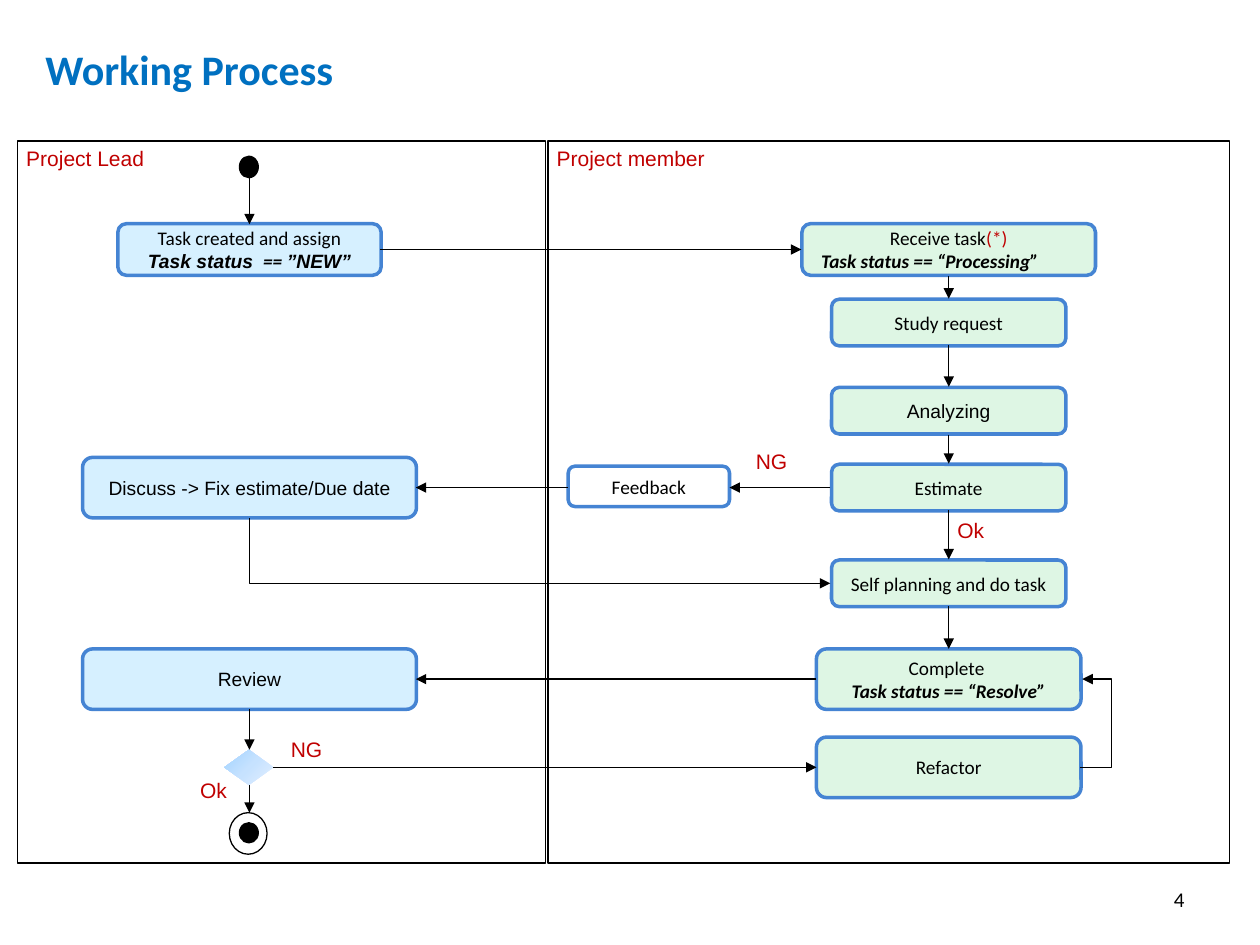
from lxml.etree import SubElement
from pptx import Presentation
from pptx.dml.color import RGBColor
from pptx.enum.shapes import MSO_CONNECTOR, MSO_SHAPE
from pptx.enum.text import MSO_ANCHOR, PP_ALIGN
from pptx.oxml import parse_xml
from pptx.oxml.ns import nsdecls, qn
from pptx.util import Inches, Pt

BLACK = RGBColor(0x00, 0x00, 0x00)
WHITE = RGBColor(0xFF, 0xFF, 0xFF)
TITLE_BLUE = RGBColor(0x00, 0x70, 0xC0)
BORDER = RGBColor(0x45, 0x84, 0xD3)
LEAD_FILL = RGBColor(0xD6, 0xF0, 0xFF)
MEMBER_FILL = RGBColor(0xDE, 0xF6, 0xE4)
RED = RGBColor(0xC0, 0x00, 0x00)

# Centre lines of the two lanes
LEAD_X, MEMBER_X = 1.98, 7.53


def add_run(p, text, size=11, font="Calibri", color=BLACK, bold=False, italic=False):
    r = p.add_run()
    r.text = text
    f = r.font
    f.size, f.name, f.bold, f.italic = Pt(size), font, bold, italic
    f.color.rgb = color


def add_label(s, text, x, y, w, h=0.3, align=PP_ALIGN.LEFT, wrap=False, **fmt):
    tf = s.shapes.add_textbox(Inches(x), Inches(y), Inches(w), Inches(h)).text_frame
    tf.word_wrap = wrap
    p = tf.paragraphs[0]
    p.alignment = align
    add_run(p, text, **fmt)


def add_figure(shapes, kind, x, y, w, h, fill=None, line=None, weight=0.75):
    sp = shapes.add_shape(kind, Inches(x), Inches(y), Inches(w), Inches(h))
    sp.shadow.inherit = False
    if fill is None:
        sp.fill.background()
    else:
        sp.fill.solid()
        sp.fill.fore_color.rgb = fill
    if line is None:
        sp.line.fill.background()
    else:
        sp.line.color.rgb = line
        sp.line.width = Pt(weight)
    return sp


def add_step(s, cx, cy, w, h, fill, *lines):
    """Add a rounded box centred on cx, cy; each line is a list of (text, format)."""
    sp = add_figure(s.shapes, MSO_SHAPE.ROUNDED_RECTANGLE, cx - w / 2, cy - h / 2,
                    w, h, fill, BORDER, 2)
    tf = sp.text_frame
    tf.word_wrap = False
    tf.vertical_anchor = MSO_ANCHOR.MIDDLE
    for i, runs in enumerate(lines):
        p = tf.add_paragraph() if i else tf.paragraphs[0]
        p.alignment = PP_ALIGN.CENTER
        for text, fmt in runs:
            add_run(p, text, **fmt)
    return sp


def add_arrow(s, x1, y1, x2, y2, kind=MSO_CONNECTOR.STRAIGHT, end="tailEnd"):
    c = s.shapes.add_connector(kind, Inches(x1), Inches(y1), Inches(x2), Inches(y2))
    c.line.color.rgb = BLACK
    c.line.width = Pt(0.75)
    SubElement(c.line._get_or_add_ln(), qn("a:" + end), type="triangle")
    SubElement(c._element.spPr, qn("a:effectLst"))
    return c


def add_decision(s, x, y, w, h):
    sp = add_figure(s.shapes, MSO_SHAPE.DIAMOND, x, y, w, h)
    stops = "".join(
        f'<a:gs pos="{pos * 1000}"><a:srgbClr val="{color}"/></a:gs>'
        for pos, color in ((0, "A1D3FF"), (50, "C6E2FF"), (100, "E3F0FF")))
    spPr = sp._element.spPr
    spPr.replace(spPr.find(qn("a:noFill")), parse_xml(
        f'<a:gradFill {nsdecls("a")}><a:gsLst>{stops}</a:gsLst>'
        '<a:path path="circle"><a:fillToRect r="100000" b="100000"/></a:path></a:gradFill>'))


def add_title(s, text):
    sp = s.shapes.title
    sp.left, sp.top, sp.width, sp.height = map(Inches, (0.26, 0.19, 9.49, 0.76))
    tf = sp.text_frame
    tf.vertical_anchor = MSO_ANCHOR.MIDDLE
    p = tf.paragraphs[0]
    p.alignment, p.line_spacing = PP_ALIGN.LEFT, 0.9
    add_run(p, text, size=24, color=TITLE_BLUE, bold=True)


def add_steps(s):
    arial = dict(font="Arial")
    status = dict(bold=True, italic=True)
    arial_status = dict(arial, **status)

    # Project lead
    add_step(s, LEAD_X, 1.98, 2.09, 0.41, LEAD_FILL,
             [("Task created and assign", {})],
             [("Task status ", arial_status), (" == ", status), ("”NEW”", arial_status)])
    add_step(s, LEAD_X, 3.87, 2.65, 0.48, LEAD_FILL,
             [("Discuss -> Fix estimate/", arial), ("D", {}), ("ue date", arial)])
    add_step(s, LEAD_X, 5.39, 2.65, 0.48, LEAD_FILL, [("Review", arial)])

    # Project member
    receive = add_step(s, MEMBER_X, 1.98, 2.33, 0.41, MEMBER_FILL,
                       [("Receive task", {}), ("(*)", dict(color=RED))],
                       [(" ", {}), ("Task status == “Processing”", status)])
    receive.text_frame.paragraphs[1].alignment = PP_ALIGN.LEFT
    for text, cy, fmt in (("Study request", 2.56, {}), ("Analyzing", 3.26, arial),
                          ("Estimate", 3.87, {}), ("Self planning and do task", 4.63, {})):
        add_step(s, MEMBER_X, cy, 1.86, 0.37, MEMBER_FILL, [(text, fmt)])
    add_step(s, 5.15, 3.86, 1.28, 0.32, WHITE, [("Feedback", {})])
    add_step(s, MEMBER_X, 5.39, 2.1, 0.48, MEMBER_FILL,
             [("Complete ", {})], [("Task status == “Resolve”", status)])
    add_step(s, MEMBER_X, 6.09, 2.1, 0.48, MEMBER_FILL, [("Refactor", {})])


def add_arrows(s):
    # Down each lane
    for x, spans in (
            (LEAD_X, ((1.41, 1.78), (5.63, 5.95), (6.23, 6.45))),
            (MEMBER_X, ((2.19, 2.37), (2.74, 3.07), (3.45, 3.68), (4.05, 4.44), (4.81, 5.15)))):
        for top, bottom in spans:
            add_arrow(s, x, top, x, bottom)

    # Across the lanes
    for x1, x2, y in ((3.02, 6.36, 1.98), (6.59, 5.79, 3.87), (4.51, 3.3, 3.87),
                      (6.48, 3.3, 5.39), (2.17, 6.48, 6.09)):
        add_arrow(s, x1, y, x2, y)

    # Refactor back to Complete, bulging 0.25 inch to the right
    loop = add_arrow(s, 8.57, 6.09, 8.59, 5.39, MSO_CONNECTOR.ELBOW)
    guides = loop._element.spPr.prstGeom.get_or_add_avLst()
    SubElement(guides, qn("a:gd"), name="adj1", fmla="val 1250000")

    # Discuss to Self planning: one corner, drawn from its arrow end
    corner = add_arrow(s, 6.59, 4.63, LEAD_X, 4.11, MSO_CONNECTOR.ELBOW, end="headEnd")
    corner._element.spPr.prstGeom.set("prst", "bentConnector2")


def main():
    prs = Presentation()
    prs.slide_width, prs.slide_height = Inches(10), Inches(7.5)
    s = prs.slides.add_slide(prs.slide_layouts[5])
    add_title(s, "Working Process")
    add_label(s, "4", 7.17, 6.99, 2.33, 0.41, PP_ALIGN.RIGHT, wrap=True, size=12)

    # Lanes
    red_label = dict(size=12, font="Arial", color=RED)
    for text, x, w, text_w in (("Project Lead", 0.14, 4.19, 1.18),
                               ("Project member", 4.35, 5.41, 1.51)):
        add_figure(s.shapes, MSO_SHAPE.RECTANGLE, x, 1.12, w, 5.73, line=BLACK)
        add_label(s, text, x - 0.03, 1.11, text_w, **red_label)

    add_steps(s)

    # Start, decision and end
    dot = MSO_SHAPE.FLOWCHART_CONNECTOR
    add_figure(s.shapes, dot, 1.9, 1.24, 0.15, 0.17, BLACK, BLACK)
    add_decision(s, 1.78, 5.95, 0.39, 0.28)
    end = s.shapes.add_group_shape()
    add_figure(end.shapes, dot, 1.82, 6.45, 0.3, 0.33, WHITE, BLACK)
    add_figure(end.shapes, dot, 1.9, 6.53, 0.15, 0.16, BLACK, BLACK)

    add_arrows(s)

    # Outcomes
    for text, x, y, w in (("Ok", 1.49, 6.12, 0.42), ("NG", 2.21, 5.8, 0.45),
                          ("NG", 5.9, 3.51, 0.45), ("Ok", 7.5, 4.06, 0.42)):
        add_label(s, text, x, y, w, **red_label)

    prs.save("out.pptx")


if __name__ == "__main__":
    main()
